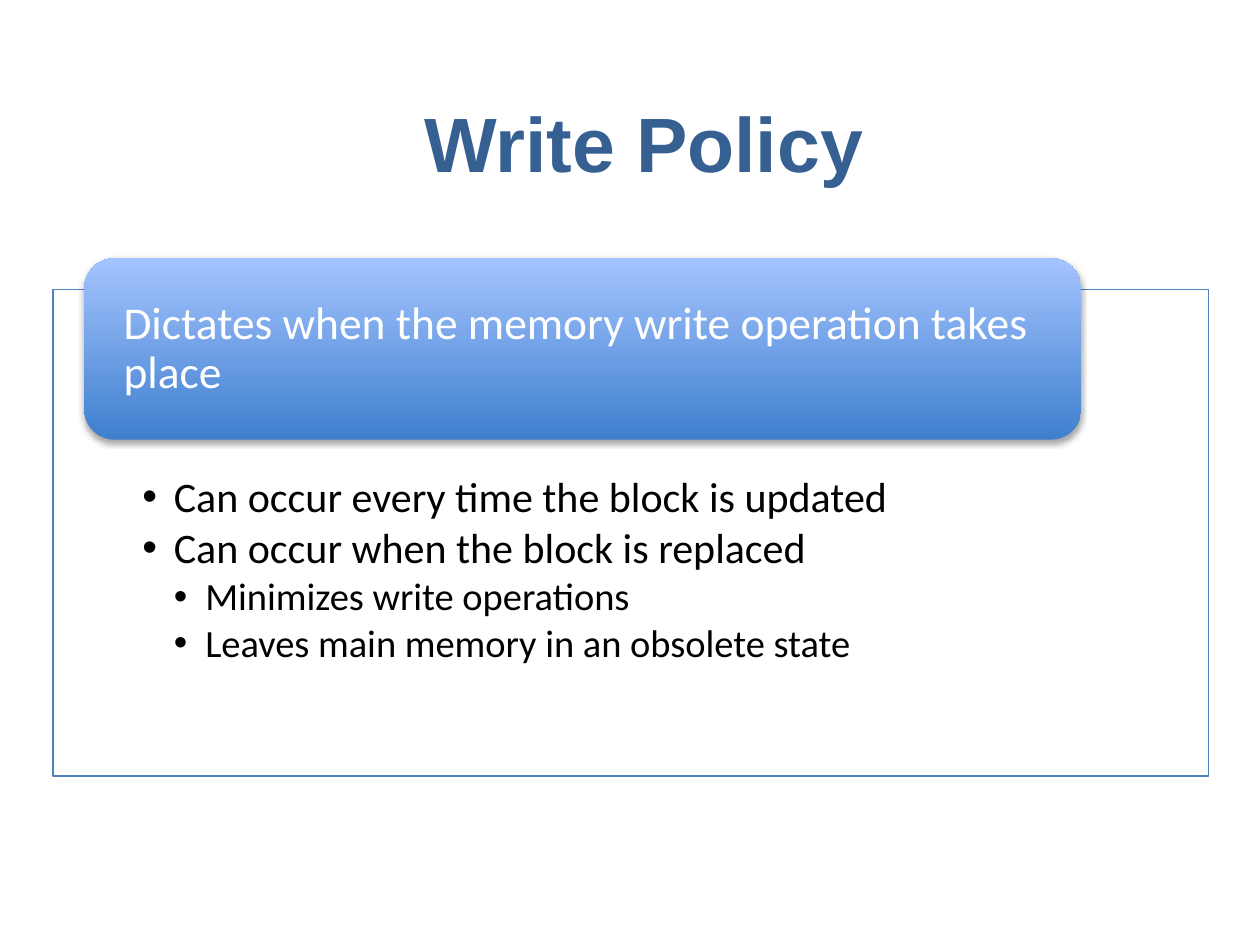
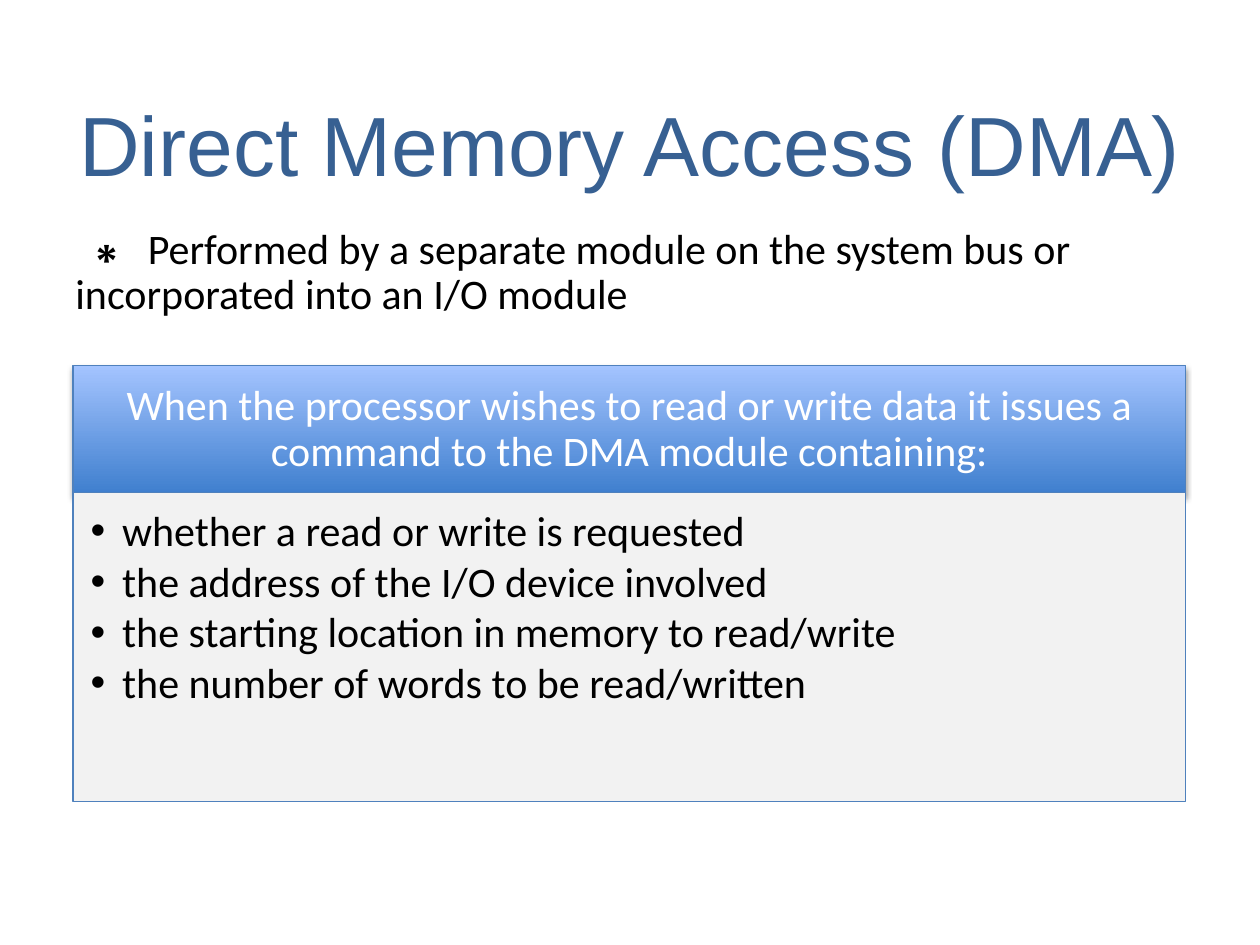
import pptx
import pptx.util
import pptx.dml.color
import pptx.enum.shapes
import pptx.enum.text
import pptx.oxml.ns
from lxml import etree

RGBColor = pptx.dml.color.RGBColor
MSO_SHAPE = pptx.enum.shapes.MSO_SHAPE
ANCHOR = pptx.enum.text.MSO_ANCHOR
ALIGN = pptx.enum.text.PP_ALIGN

PX = 9144
TITLE_BLUE = RGBColor(0x37, 0x60, 0x92)
LINE_BLUE = RGBColor(0x4F, 0x81, 0xBD)
DEEP_BLUE = RGBColor(0x3F, 0x7F, 0xCE)
PALE_BLUE = RGBColor(0xA4, 0xC4, 0xFF)
PANEL_GREY = RGBColor(0xF2, 0xF2, 0xF2)
WHITE = RGBColor(0xFF, 0xFF, 0xFF)
BLACK = RGBColor(0x00, 0x00, 0x00)


def px(n):
    return pptx.util.Emu(n * PX)


def sub(parent, tag, **attrs):
    el = etree.SubElement(parent, pptx.oxml.ns.qn(tag))
    for name, value in attrs.items():
        el.set(name, str(value))
    return el


def write(p, text, size=24, font="Calibri", color=BLACK, bold=False,
          align=ALIGN.LEFT, spacing=0.9, after=0, bullet=None,
          bullet_size=100, level=0, indent=25):
    if bullet:
        pPr = p._p.get_or_add_pPr()
        pPr.set("marL", str(px(indent * level)))
        pPr.set("indent", str(px(-indent if level else 0)))
        sub(pPr, "a:buSzPct", val=bullet_size * 1000)
        sub(pPr, "a:buFont", typeface="Arial")
        sub(pPr, "a:buChar", char=bullet)
    p.level = level
    p.alignment = align
    p.line_spacing = spacing
    p.space_before = pptx.util.Pt(0)
    p.space_after = pptx.util.Pt(after)
    r = p.add_run()
    r.text = text
    r.font.size = pptx.util.Pt(size)
    r.font.name = font
    r.font.bold = bold
    r.font.color.rgb = color


class Deck:
    def __init__(self):
        self.prs = pptx.Presentation()
        self.prs.slide_width = px(1000)
        self.prs.slide_height = px(750)

    def slide(self):
        self.s = self.prs.slides.add_slide(self.prs.slide_layouts[6])

    def frame(self, sp, anchor, insets):
        tf = sp.text_frame
        tf.word_wrap = True
        tf.vertical_anchor = anchor
        (tf.margin_left, tf.margin_top,
         tf.margin_right, tf.margin_bottom) = map(px, insets)
        return tf

    def text(self, box, text, anchor=ANCHOR.TOP, grow=False, **style):
        sp = self.s.shapes.add_textbox(*map(px, box))
        tf = self.frame(sp, anchor, (10, 5, 10, 5))
        if grow:
            tf.auto_size = pptx.enum.text.MSO_AUTO_SIZE.SHAPE_TO_FIT_TEXT
        write(tf.paragraphs[0], text, **style)

    def title(self, box, text, size, bold=False):
        self.text(box, text, anchor=ANCHOR.MIDDLE, size=size, font="Arial",
                  color=TITLE_BLUE, bold=bold, align=ALIGN.CENTER, spacing=1.0)

    def shape(self, kind, box, outlined=True):
        sp = self.s.shapes.add_shape(kind, *map(px, box))
        sp.shadow.inherit = False
        if outlined:
            sp.line.color.rgb = LINE_BLUE
            sp.line.width = pptx.util.Pt(0.75)
        else:
            sp.line.fill.background()
        return sp

    def panel(self, box, fill, insets, items, alpha=100):
        sp = self.shape(MSO_SHAPE.RECTANGLE, box)
        sp.fill.solid()
        sp.fill.fore_color.rgb = fill
        if alpha < 100:
            clr = sp._element.spPr.find(pptx.oxml.ns.qn("a:solidFill"))[0]
            sub(clr, "a:alpha", val=alpha * 1000)
        tf = self.frame(sp, ANCHOR.TOP, insets)
        for i, (level, size, text) in enumerate(items):
            p = tf.add_paragraph() if i else tf.paragraphs[0]
            write(p, text, size=size, level=level, bullet="•",
                  after=size / 8)

    def banner(self, kind, box, text, insets, outlined=True, **style):
        sp = self.shape(kind, box, outlined)
        sp.fill.gradient()
        sp.fill.gradient_angle = 90
        for stop, color in zip(sp.fill.gradient_stops, (DEEP_BLUE, PALE_BLUE)):
            stop.color.rgb = color
        effects = sp._element.spPr.find(pptx.oxml.ns.qn("a:effectLst"))
        shadow = sub(effects, "a:outerShdw", blurRad=pptx.util.Pt(3.1),
                     dist=pptx.util.Pt(1.8), dir=5400000, rotWithShape=0)
        sub(sub(shadow, "a:srgbClr", val=BLACK), "a:alpha", val=35000)
        tf = self.frame(sp, ANCHOR.MIDDLE, insets)
        write(tf.paragraphs[0], text, color=WHITE, **style)


def write_policy(deck):
    deck.slide()
    deck.title((72, 50, 878, 125), "Write Policy", 44, bold=True)
    deck.panel((42, 230, 917, 386), WHITE, (71, 148, 71, 19), [
        (1, 24, "Can occur every time the block is updated"),
        (1, 24, "Can occur when the block is replaced"),
        (2, 22, "Minimizes write operations"),
        (2, 22, "Leaves main memory in an obsolete state"),
    ], alpha=90)
    deck.banner(MSO_SHAPE.ROUNDED_RECTANGLE, (67, 205, 791, 144),
                "Dictates when the memory write operation takes place",
                (24, 0, 24, 0), outlined=False, size=26)


def direct_memory_access(deck):
    deck.slide()
    deck.title((50, 51, 900, 125), "Direct Memory Access (DMA)", 48)
    deck.banner(MSO_SHAPE.RECTANGLE, (58, 290, 883, 102),
                "When the processor wishes to read or write data it issues a "
                "command to the DMA module containing:",
                (19, 11, 19, 11), align=ALIGN.CENTER)
    deck.panel((58, 391, 883, 245), PANEL_GREY, (14, 14, 19, 21), [
        (1, 24, "whether a read or write is requested"),
        (1, 24, "the address of the I/O device involved"),
        (1, 24, "the starting location in memory to read/write"),
        (1, 24, "the number of words to be read/written"),
    ])
    deck.text((50, 176, 883, 83),
              " Performed by a separate module on the system bus or "
              "incorporated into an I/O module",
              grow=True, bullet="∗", bullet_size=150)


def main():
    deck = Deck()
    write_policy(deck)
    direct_memory_access(deck)
    deck.prs.save("out.pptx")


if __name__ == "__main__":
    main()
